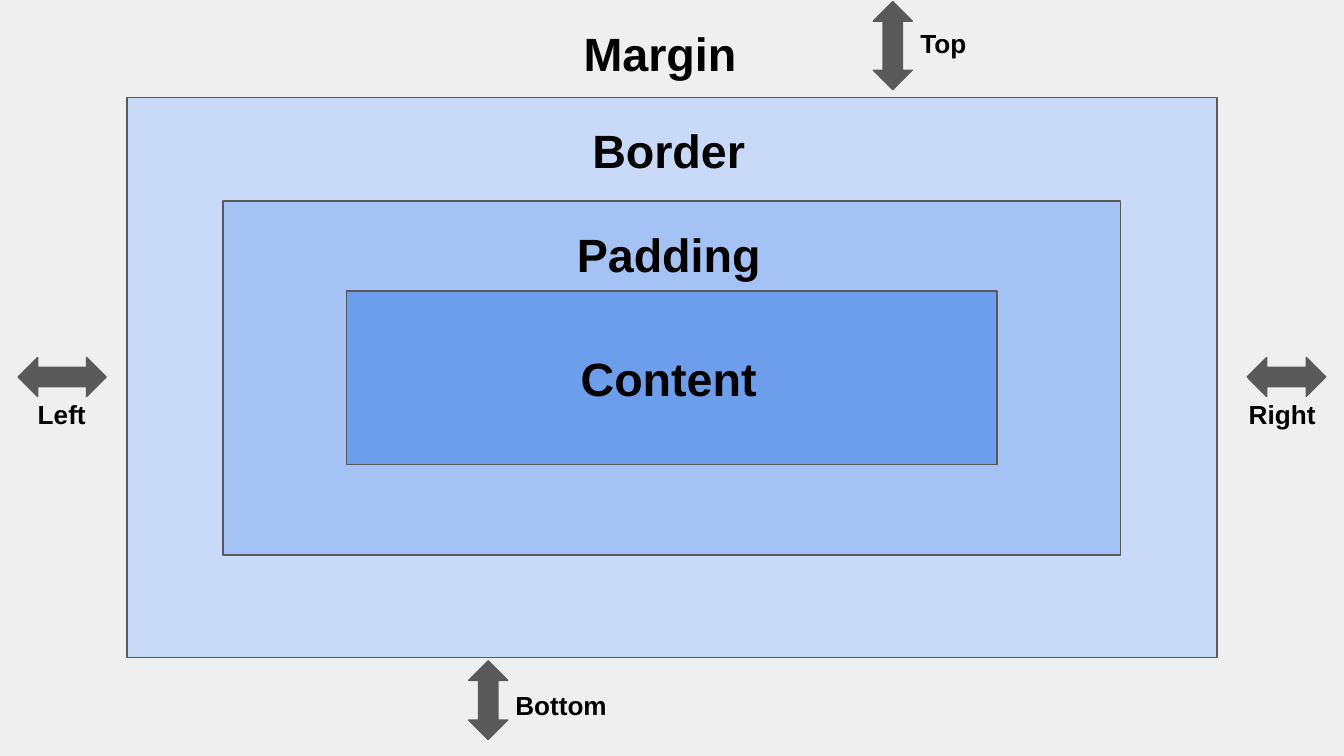
from pptx import Presentation
from pptx.dml.color import RGBColor
from pptx.enum.shapes import MSO_SHAPE
from pptx.enum.text import MSO_ANCHOR, PP_ALIGN
from pptx.util import Emu, Pt

PX = 4572  # EMU per px, 200 px to the inch
WIDE, HIGH = 2000, 1125
PAD = 20

BLACK = RGBColor(0x00, 0x00, 0x00)
GRAY = RGBColor(0x59, 0x59, 0x59)
PALE = RGBColor(0xEF, 0xEF, 0xEF)
LIGHT = RGBColor(0xC9, 0xDA, 0xF8)
MID = RGBColor(0xA4, 0xC2, 0xF4)
DEEP = RGBColor(0x6D, 0x9E, 0xEB)


def scale(box):
    return [Emu(n * PX) for n in box]


def add_text(slide, box, text, size=14, bold=True, color=BLACK):
    frame = slide.shapes.add_textbox(*scale(box)).text_frame
    frame.word_wrap = True
    frame.vertical_anchor = MSO_ANCHOR.TOP
    frame.margin_left = frame.margin_right = Emu(PAD * PX)
    frame.margin_top = frame.margin_bottom = Emu(PAD * PX)
    para = frame.paragraphs[0]
    para.alignment = PP_ALIGN.CENTER
    run = para.add_run()
    run.text = text
    font = run.font
    font.name, font.size, font.bold = "Arial", Pt(size), bold
    font.color.rgb = color


def add_form(slide, kind, box, fill):
    form = slide.shapes.add_shape(kind, *scale(box))
    form.shadow.inherit = False
    form.fill.solid()
    form.fill.fore_color.rgb = fill
    form.line.color.rgb = GRAY
    form.line.width = Pt(0.75)
    return form


def add_layer(slide, box, name, fill=None, drop=17, shift=-5):
    """Draw one ring of the box model with its title; no fill leaves the slide's own."""
    left, top, width, _ = box
    if fill is not None:
        add_form(slide, MSO_SHAPE.RECTANGLE, box, fill)
    title = 636
    start = left + (width - title) // 2 + shift
    add_text(slide, (start, top + drop, title, 104), name, size=25)


def add_side(slide, box, name, dx, dy, width=160, turn=0):
    """Draw a double arrow, with its label set off from the arrow's unturned box."""
    left, top = box[:2]
    arrow = add_form(slide, MSO_SHAPE.LEFT_RIGHT_ARROW, box, GRAY)
    arrow.rotation = turn
    add_text(slide, (left + dx, top + dy, width, 58), name)


def main():
    deck = Presentation()
    deck.slide_width, deck.slide_height = scale((WIDE, HIGH))
    slide = deck.slides.add_slide(deck.slide_layouts[6])
    slide.background.fill.solid()
    slide.background.fill.fore_color.rgb = PALE

    add_layer(slide, (0, 0, WIDE, HIGH), "Margin", shift=-18)
    add_layer(slide, (189, 145, 1622, 834), "Border", LIGHT)
    add_layer(slide, (332, 299, 1336, 527), "Padding", MID)
    add_layer(slide, (516, 433, 968, 258), "Content", DEEP, drop=68)

    add_side(slide, (27, 532, 131, 58), "Left", -15, 41)
    add_side(slide, (1856, 532, 117, 58), "Right", -28, 41)
    add_side(slide, (1263, 39, 131, 58), "Top", 61, -18, turn=270)
    add_side(slide, (668, 1013, 117, 58), "Bottom", 53, -7, width=228, turn=270)

    deck.save("out.pptx")


if __name__ == "__main__":
    main()
